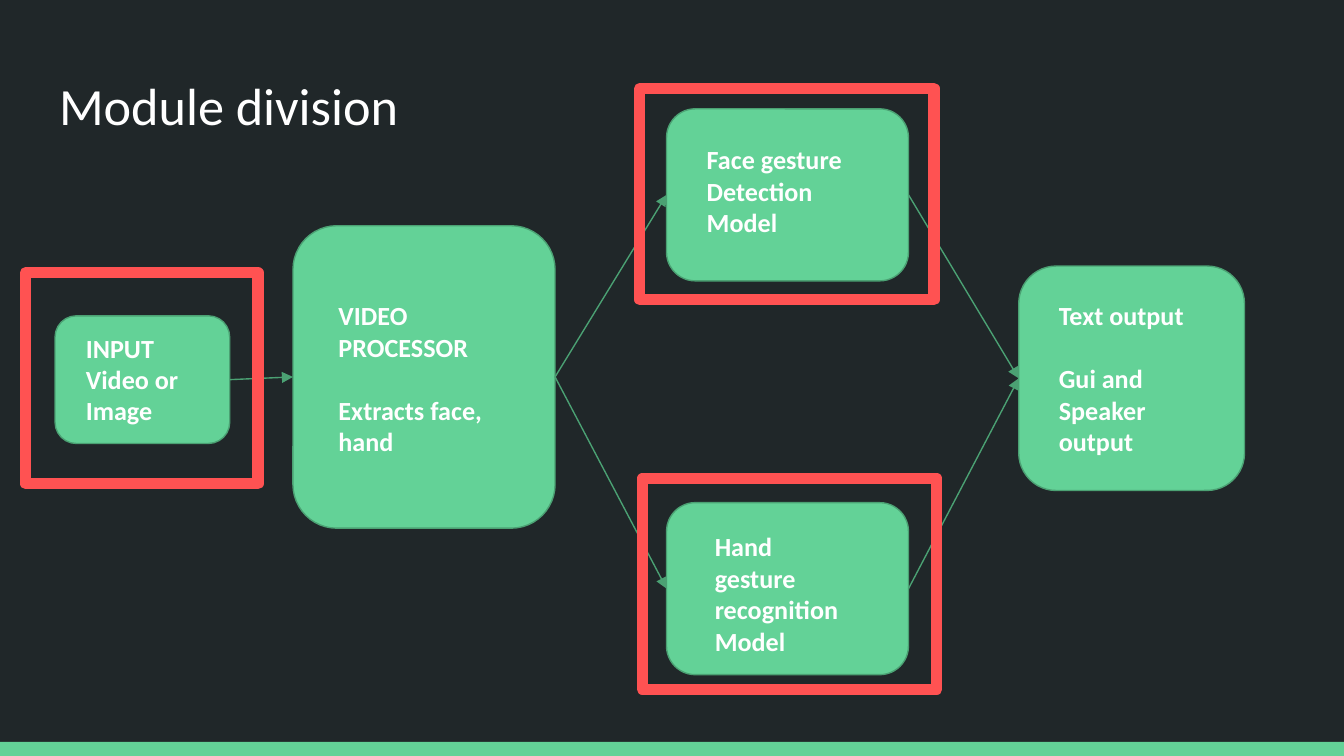
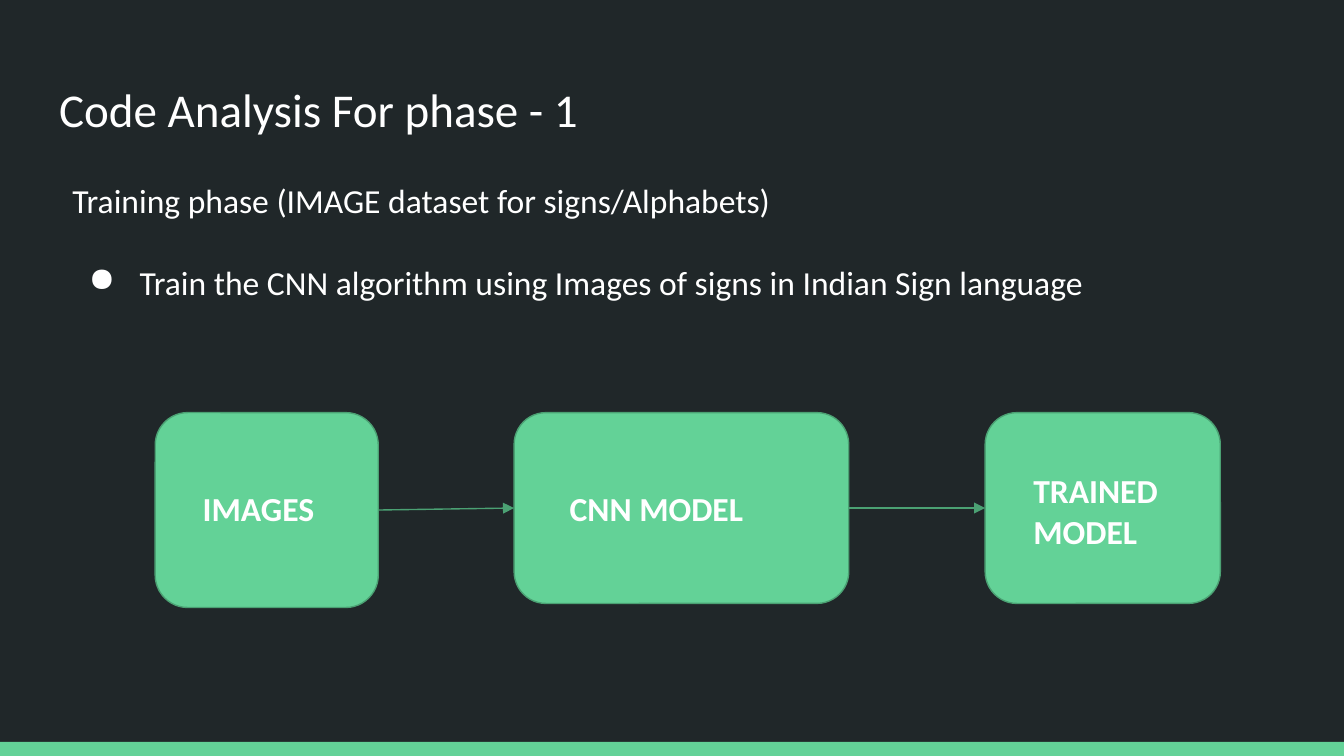
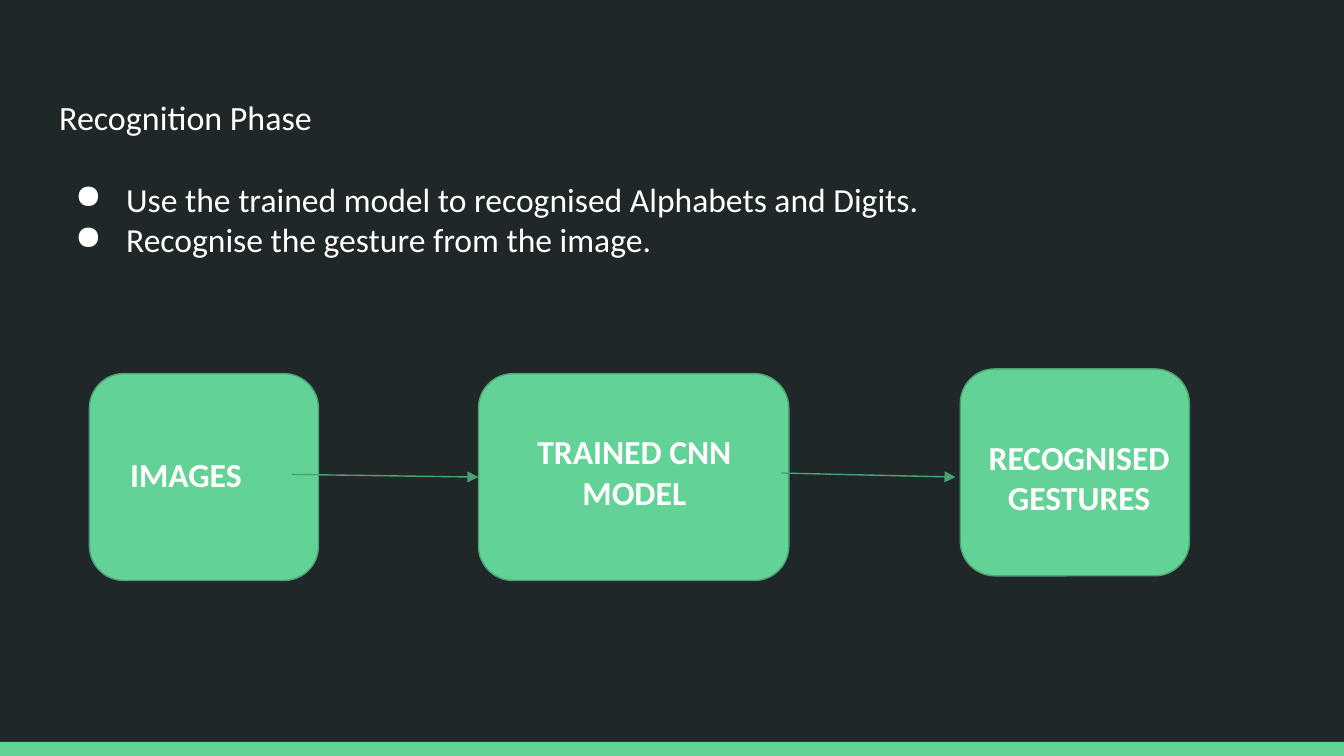
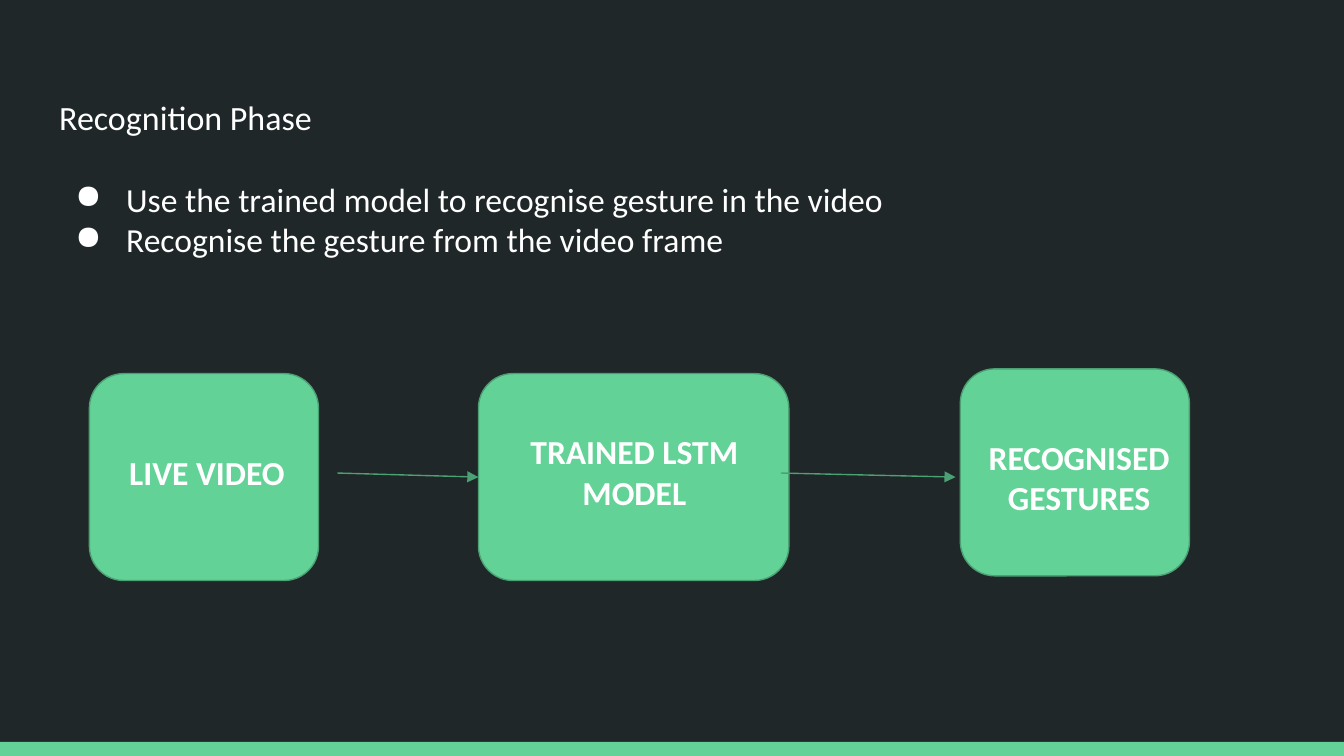
from lxml.etree import SubElement
from pptx import Presentation
from pptx.dml.color import RGBColor
from pptx.enum.shapes import MSO_CONNECTOR, MSO_SHAPE
from pptx.enum.text import MSO_ANCHOR as Anchor, MSO_AUTO_SIZE as AutoSize, PP_ALIGN as Align
from pptx.oxml.ns import qn
from pptx.util import Inches, Pt

# Shared look
DARK = RGBColor(0x20, 0x27, 0x29)
GREEN = RGBColor(0x63, 0xD2, 0x97)
DEEP_GREEN = RGBColor(0x4B, 0xA1, 0x73)
RED = RGBColor(0xFF, 0x52, 0x52)
WHITE = RGBColor(0xFF, 0xFF, 0xFF)
FONT = "Calibri"
LINE_HEIGHT = 1.22  # natural line height of the font, in ems
INSETS = dict.fromkeys(
    ("margin_left", "margin_top", "margin_right", "margin_bottom"), Inches(0.1))
LEFT_SIDE, RIGHT_SIDE = 1, 3

# Grid of 100 columns by 56.25 square rows
WIDTH = Inches(10)
HEIGHT = WIDTH * 9 // 16
CELL = WIDTH // 100


def grid(*cells):
    return [round(cell * CELL) for cell in cells]


def set_all(target, formats):
    for attribute, value in formats.items():
        setattr(target, attribute, value)


def outline(shape, color, width):
    shape.line.color.rgb = color
    shape.line.width = Pt(width)


def add_bullet(paragraph):
    properties = paragraph._p.get_or_add_pPr()
    properties.set("marL", str(Inches(0.5)))
    properties.set("indent", str(Inches(-0.38)))
    SubElement(properties, qn("a:buChar")).set("char", "●")


def write(frame, lines, size, bold=False, align=Align.LEFT, gap_at=None, bullets_from=None):
    """Fill a frame; gap_at is the line that has one line of space above it."""
    for index, line in enumerate(lines):
        paragraph = frame.paragraphs[0] if index == 0 else frame.add_paragraph()
        paragraph.text = line
        paragraph.alignment = align
        set_all(paragraph.font, {"name": FONT, "size": Pt(size), "bold": bold})
        paragraph.font.color.rgb = WHITE
        if index == gap_at:
            paragraph.space_before = Pt(round(size * LINE_HEIGHT))
        if bullets_from is not None and index >= bullets_from:
            add_bullet(paragraph)


def add_text(slide, place, lines, size=18, **style):
    frame = slide.shapes.add_textbox(*grid(*place)).text_frame
    set_all(frame, INSETS | {"word_wrap": True, "auto_size": AutoSize.SHAPE_TO_FIT_TEXT})
    write(frame, lines, size, **style)


def add_label(slide, place, *lines, **style):
    add_text(slide, place, lines, bold=True, **style)


def add_stage(slide, *place):
    stage = slide.shapes.add_shape(MSO_SHAPE.ROUNDED_RECTANGLE, *grid(*place))
    stage.shadow.inherit = False
    stage.fill.solid()
    stage.fill.fore_color.rgb = GREEN
    outline(stage, DEEP_GREEN, 0.75)
    return stage


def add_highlight(slide, *place):
    highlight = slide.shapes.add_shape(MSO_SHAPE.RECTANGLE, *grid(*place))
    highlight.shadow.inherit = False
    highlight.fill.background()
    outline(highlight, RED, 6)


def add_arrow(slide, source, target):
    """Each end is a stage to join or a (column, row) point."""
    ends = [grid(*end) if isinstance(end, tuple) else (0, 0) for end in (source, target)]
    arrow = slide.shapes.add_connector(MSO_CONNECTOR.STRAIGHT, *ends[0], *ends[1])
    if not isinstance(source, tuple):
        arrow.begin_connect(source, RIGHT_SIDE)
    if not isinstance(target, tuple):
        arrow.end_connect(target, LEFT_SIDE)
    outline(arrow, DEEP_GREEN, 0.75)
    SubElement(arrow.line._get_or_add_ln(), qn("a:tailEnd")).set("type", "triangle")
    SubElement(arrow._element.spPr, qn("a:effectLst"))


def add_titled_slide(deck, text, size, line_spacing=1.0):
    slide = deck.slides.add_slide(deck.slide_layouts[5])
    title = slide.shapes.title
    places = zip(("left", "top", "width", "height"), grid(3.4, 4.9, 93.2, 6.3))
    set_all(title, dict(places))
    set_all(title.text_frame, INSETS | {
        "word_wrap": True, "auto_size": AutoSize.NONE, "vertical_anchor": Anchor.BOTTOM})
    write(title.text_frame, [text], size)
    title.text_frame.paragraphs[0].line_spacing = line_spacing
    return slide


def style_master(deck, slide):
    """Set the dark background and move the bottom band to the master."""
    background = deck.slide_master.background.fill
    background.solid()
    background.fore_color.rgb = DARK
    band = slide.shapes.add_shape(MSO_SHAPE.RECTANGLE, *grid(0, 55.2, 100, 1.05))
    band.shadow.inherit = False
    band.fill.solid()
    band.fill.fore_color.rgb = GREEN
    band.line.fill.background()
    band.element.nvSpPr.cNvPr.set("id", "99")
    deck.slide_master.shapes.element.append(band.element)


def module_slide(deck):
    slide = add_titled_slide(deck, "Module division", 28, line_spacing=0.9)
    style_master(deck, slide)

    # Stages and flow
    media = add_stage(slide, 4.1, 23.5, 13, 9.5)
    processor = add_stage(slide, 21.8, 16.8, 19.5, 22.5)
    models = [add_stage(slide, 49.6, top, 18, 12.8) for top in (8.1, 37.4)]
    output = add_stage(slide, 75.8, 19.8, 16.8, 16.7)
    add_arrow(slide, media, processor)
    for model in models:
        add_arrow(slide, processor, model)
        add_arrow(slide, model, output)

    # Labels
    add_label(slide, (5.4, 23.7, 9.8, 9.1), "INPUT", "Video or", "Image", size=14)
    add_label(slide, (24.2, 21.3, 14.8, 13.8),
              "VIDEO PROCESSOR", "Extracts face, hand", size=14, gap_at=1)
    add_label(slide, (51.6, 9.7, 14.8, 9.1), "Face gesture", "Detection", "Model", size=14)
    add_label(slide, (52.2, 38.5, 12.6, 11.4), "Hand gesture recognition Model", size=14)
    add_label(slide, (77.8, 21.3, 13, 13.8),
              "Text output", "Gui and Speaker output", size=14, gap_at=1)

    # Highlighted modules
    for left, top, width in ((47.8, 35.6, 21.9), (1.9, 20.3, 17.3), (47.6, 6.6, 21.9)):
        add_highlight(slide, left, top, width, 15.7)


def training_slide(deck):
    slide = add_titled_slide(deck, "Code Analysis For phase - 1", 25.2)
    add_text(slide, (4.4, 12.4, 92.2, 11.1),
             ["Training phase (IMAGE dataset for signs/Alphabets)",
              "Train the CNN algorithm using Images of signs in Indian Sign language"],
             gap_at=1, bullets_from=1)
    images = add_stage(slide, 11.55, 30.7, 16.6, 14.5)
    model = add_stage(slide, 38.25, 30.7, 24.9, 14.2)
    trained = add_stage(slide, 73.3, 30.7, 17.5, 14.2)
    add_arrow(slide, images, model)
    add_arrow(slide, model, trained)
    add_label(slide, (14.1, 35.3, 11.4, 5), "IMAGES")
    add_label(slide, (41.4, 35.3, 21.8, 5), "CNN MODEL")
    add_label(slide, (75.9, 34, 15.9, 8.1), "TRAINED MODEL")


def recognition_slide(deck, steps, media, media_place, media_align, model_name, flow_start):
    slide = add_titled_slide(deck, "Recognition Phase", 18.2)
    add_text(slide, (3.4, 12.3, 93.2, 8.1), steps, bullets_from=0)
    add_stage(slide, 6.65, 27.8, 17.05, 15.4)
    add_label(slide, media_place, media, align=media_align)
    model = add_stage(slide, 35.6, 27.8, 23.1, 15.4)
    add_label(slide, (36.3, 31.1, 21.8, 8.1), model_name, align=Align.CENTER)
    add_stage(slide, 71.45, 27.45, 17.05, 15.4)
    add_label(slide, (71.1, 31.5, 18.4, 8.1), "RECOGNISED GESTURES", align=Align.CENTER)
    add_arrow(slide, flow_start, model)
    add_arrow(slide, (58.1, 35.2), (71.1, 35.5))


def main():
    deck = Presentation()
    deck.slide_width, deck.slide_height = WIDTH, HEIGHT
    module_slide(deck)
    training_slide(deck)
    recognition_slide(
        deck,
        ["Use the trained model to recognised Alphabets and Digits.",
         "Recognise the gesture from the image."],
        "IMAGES", (8.7, 32.8, 13, 5), Align.LEFT, "TRAINED CNN MODEL", (21.7, 35.3))
    recognition_slide(
        deck,
        ["Use the trained model to recognise gesture in the video",
         "Recognise the gesture from the video frame"],
        "LIVE VIDEO", (5.2, 32.6, 20.4, 5), Align.CENTER, "TRAINED LSTM MODEL", (25.1, 35.2))
    deck.save("out.pptx")


if __name__ == "__main__":
    main()
